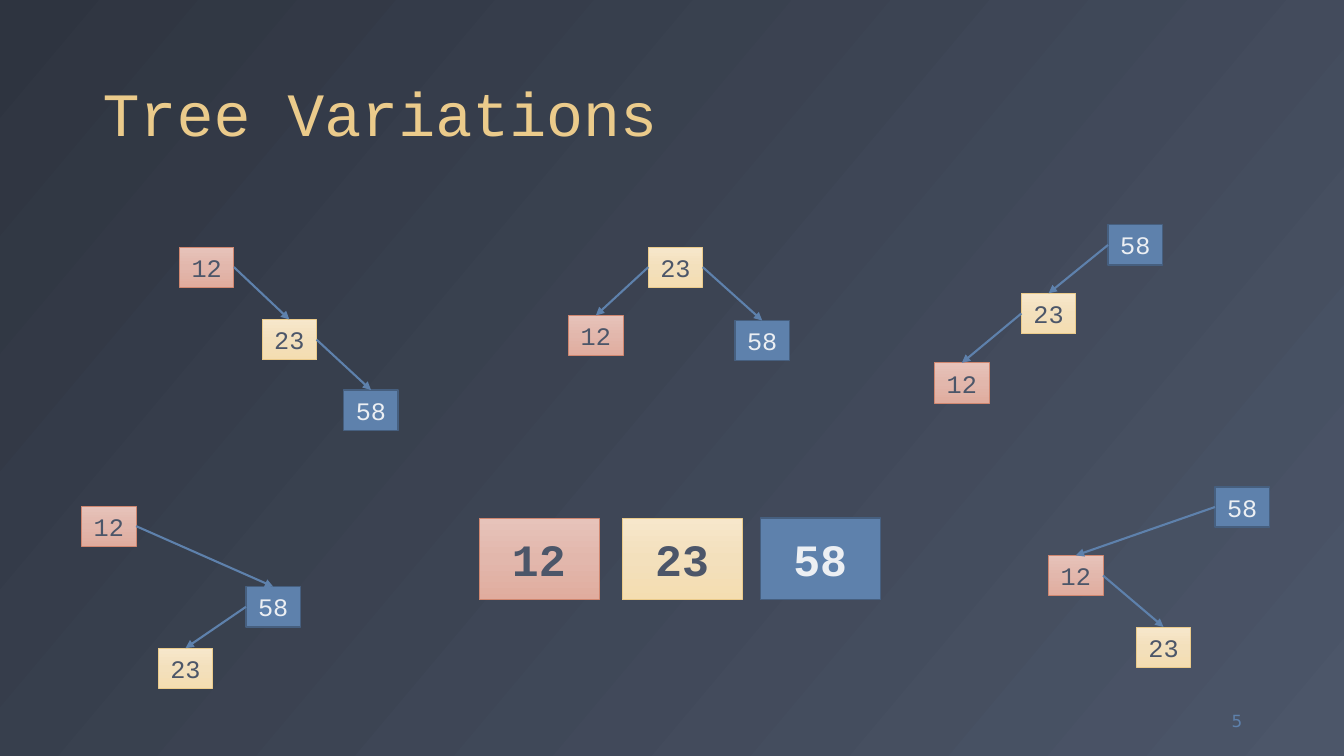
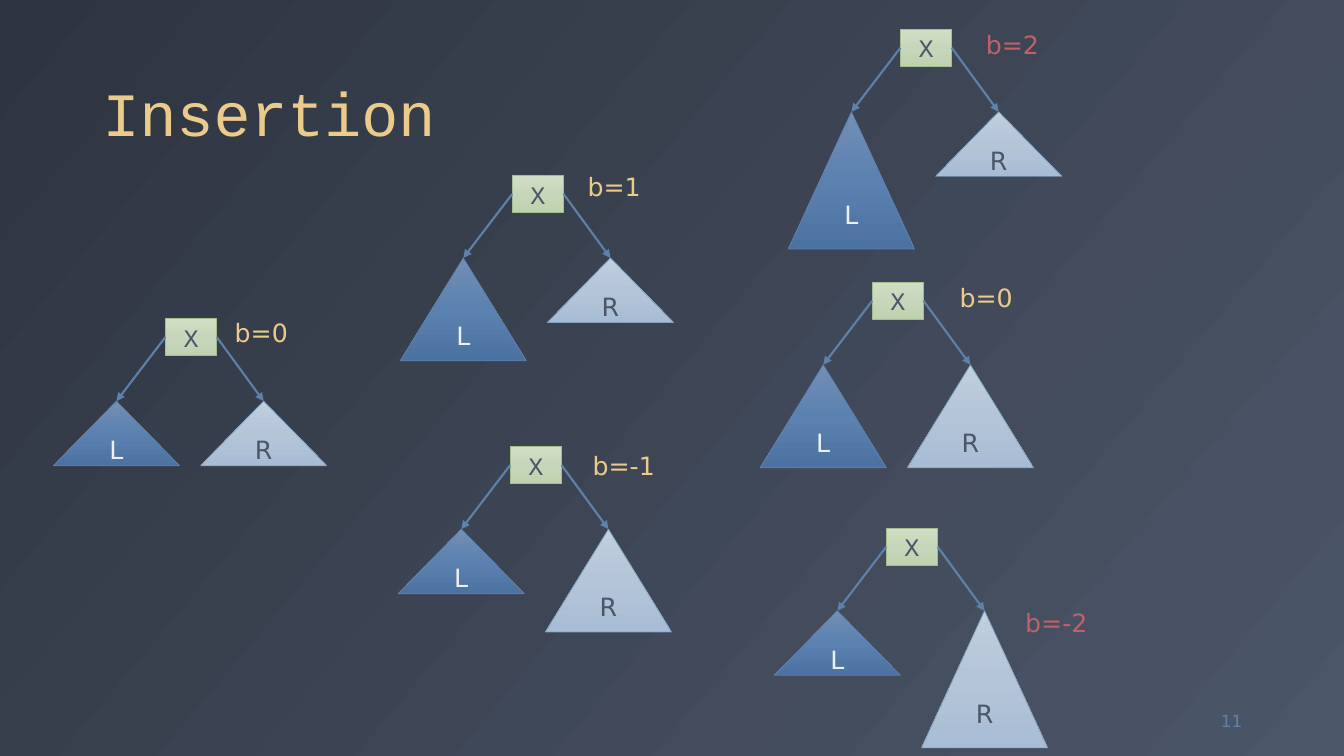
from copy import deepcopy

from pptx import Presentation
from pptx.dml.color import RGBColor
from pptx.enum.shapes import MSO_CONNECTOR, MSO_SHAPE
from pptx.enum.text import MSO_ANCHOR, PP_ALIGN
from pptx.oxml import parse_xml
from pptx.oxml.ns import nsdecls, qn
from pptx.util import Emu, Pt

RECTANGLE = MSO_SHAPE.RECTANGLE
TRIANGLE = MSO_SHAPE.ISOSCELES_TRIANGLE
STRAIGHT = MSO_CONNECTOR.STRAIGHT
TOP, MIDDLE, BOTTOM = MSO_ANCHOR.TOP, MSO_ANCHOR.MIDDLE, MSO_ANCHOR.BOTTOM
LEFT, CENTER, RIGHT = PP_ALIGN.LEFT, PP_ALIGN.CENTER, PP_ALIGN.RIGHT
TOP_SITE, LEFT_SITE, RIGHT_SITE = 0, 1, 3

EMU_PER_PX = 9144
MONO, SANS = "Courier New", "DejaVu Sans"
GOLD, BLUE, RED = "EBCB8B", "5E81AC", "BF6169"
DARK, LIGHT = "4C5669", "ECEFF3"

STYLES = {
    "12": (("E7C3BA", "E2B7AC", "E0AC9E"), "D08770", 0.5, DARK, MONO),
    "23": (("F7E7CB", "F3E0BC", "F4DDB1"), GOLD, 0.5, DARK, MONO),
    "58": ((BLUE,), "465F7F", 1, LIGHT, MONO),
    "X": (("D1DEC6", "C7D6BA", "BFD2B0"), "A3BE8C", 0.5, DARK, MONO),
    "L": (("738FB5", "5A81B0", "4C72A1"), BLUE, 0.5, LIGHT, SANS),
    "R": (("C1CFDF", "B4C5D8", "A8BDD5"), "81A1C1", 0.5, DARK, SANS),
}

NUMBER_TREES = [
    [("12", 178, 245, None), ("23", 260, 317, "12"), ("58", 341, 387, "23")],
    [("23", 643, 245, None), ("12", 564, 313, "23"), ("58", 729, 318, "23")],
    [("58", 1099, 223, None), ("23", 1013, 291, "58"), ("12", 927, 360, "23")],
    [("12", 81, 502, None), ("58", 244, 582, "12"), ("23", 157, 643, "58")],
    [("58", 1205, 483, None), ("12", 1040, 551, "58"), ("23", 1127, 622, "12")],
]
KEYS = [("12", 475), ("23", 617), ("58", 754)]

LOW, MEDIUM, HIGH = 64, 102, 136
BALANCE_TREES = [
    (164, 316, LOW, LOW, "b=0", 223, 310, GOLD),
    (508, 174, MEDIUM, LOW, "b=1", 573, 165, GOLD),
    (506, 443, LOW, MEDIUM, "b=-1", 578, 442, GOLD),
    (865, 280, MEDIUM, MEDIUM, "b=0", 942, 275, GOLD),
    (879, 524, LOW, HIGH, "b=-2", 1007, 598, RED),
    (893, 29, HIGH, LOW, "b=2", 968, 24, RED),
]


def px(length):
    return Emu(length * EMU_PER_PX)


def color(value):
    return RGBColor.from_string(value)


class Deck:
    def __init__(self):
        self.presentation = Presentation()
        self.presentation.slide_width = px(1333)
        self.presentation.slide_height = px(750)
        self.slide = None

    def add_slide(self, title, number):
        layout = self.presentation.slide_layouts[6]
        self.slide = self.presentation.slides.add_slide(layout)
        self.paint(self.slide.background.fill, self.slide.element, ("2E3440", DARK), 40)
        self.label(title, (92, 18, 1150, 136), GOLD, MONO, 44, LEFT, BOTTOM, 0.9)
        self.label(number, (1159, 695, 83, 40), BLUE, SANS, 12, RIGHT, MIDDLE)

    def paint(self, fill, owner, colors, angle=90):
        if len(colors) == 1:
            fill.solid()
            fill.fore_color.rgb = color(colors[0])
            return
        fill.gradient()
        fill.gradient_angle = 360 - angle
        stop_list = owner.find(".//" + qn("a:gsLst"))
        while len(stop_list) < len(colors):
            stop_list.append(deepcopy(stop_list[0]))
        for index, (stop, value) in enumerate(zip(fill.gradient_stops, colors)):
            stop.color.rgb = color(value)
            stop.position = index / (len(colors) - 1)

    def add_text(self, frame, text, text_color, font, size, align, bold=False):
        paragraph = frame.paragraphs[0]
        paragraph.alignment = align
        run = paragraph.add_run()
        run.text = text
        run.font.name = font
        run.font.size = Pt(size)
        run.font.bold = bold
        run.font.color.rgb = color(text_color)
        return paragraph

    def label(self, text, box, text_color, font=SANS, size=18, align=LEFT,
              anchor=TOP, spacing=1.0, wrap=True):
        frame = self.slide.shapes.add_textbox(*map(px, box)).text_frame
        frame.word_wrap = wrap
        frame.vertical_anchor = anchor
        paragraph = self.add_text(frame, text, text_color, font, size, align)
        paragraph.line_spacing = spacing

    def node(self, text, box, kind=RECTANGLE, size=18, bold=False):
        colors, outline, width, text_color, font = STYLES[text]
        shape = self.slide.shapes.add_shape(kind, *map(px, box))
        shape.shadow.inherit = False
        self.paint(shape.fill, shape.element, colors)
        shape.line.color.rgb = color(outline)
        shape.line.width = Pt(width)
        shape.text_frame.vertical_anchor = MIDDLE
        self.add_text(shape.text_frame, text, text_color, font, size, CENTER, bold)
        return shape

    def arrow(self, parent, child):
        connector = self.slide.shapes.add_connector(STRAIGHT, 0, 0, 0, 0)
        side = LEFT_SITE if child.left < parent.left else RIGHT_SITE
        connector.begin_connect(parent, side)
        connector.end_connect(child, TOP_SITE)
        connector.line.color.rgb = color(BLUE)
        connector.line.width = Pt(1.5)
        properties = connector.element.spPr
        head = parse_xml(f'<a:tailEnd {nsdecls("a")} type="triangle"/>')
        properties.find(qn("a:ln")).append(head)
        properties.append(parse_xml(f'<a:effectLst {nsdecls("a")}/>'))

    def number_tree(self, entries):
        nodes = {}
        for value, left, top, parent in entries:
            nodes[value] = self.node(value, (left, top, 54, 40))
            if parent:
                self.arrow(nodes[parent], nodes[value])

    def balance_tree(self, left, top, left_height, right_height):
        root = self.node("X", (left, top, 51, 37))
        for name, offset, height in (("L", -111, left_height), ("R", 35, right_height)):
            box = (left + offset, top + 82, 125, height)
            self.arrow(root, self.node(name, box, TRIANGLE))


def main():
    deck = Deck()

    deck.add_slide("Tree Variations", "5")
    for entries in NUMBER_TREES:
        deck.number_tree(entries)
    for value, left in KEYS:
        deck.node(value, (left, 514, 119, 81), size=32, bold=True)

    deck.add_slide("Insertion", "11")
    for left, top, left_height, right_height, text, text_left, text_top, tone in BALANCE_TREES:
        deck.balance_tree(left, top, left_height, right_height)
        deck.label(text, (text_left, text_top, 84, 40), tone, wrap=False)

    deck.presentation.save("out.pptx")


if __name__ == "__main__":
    main()
